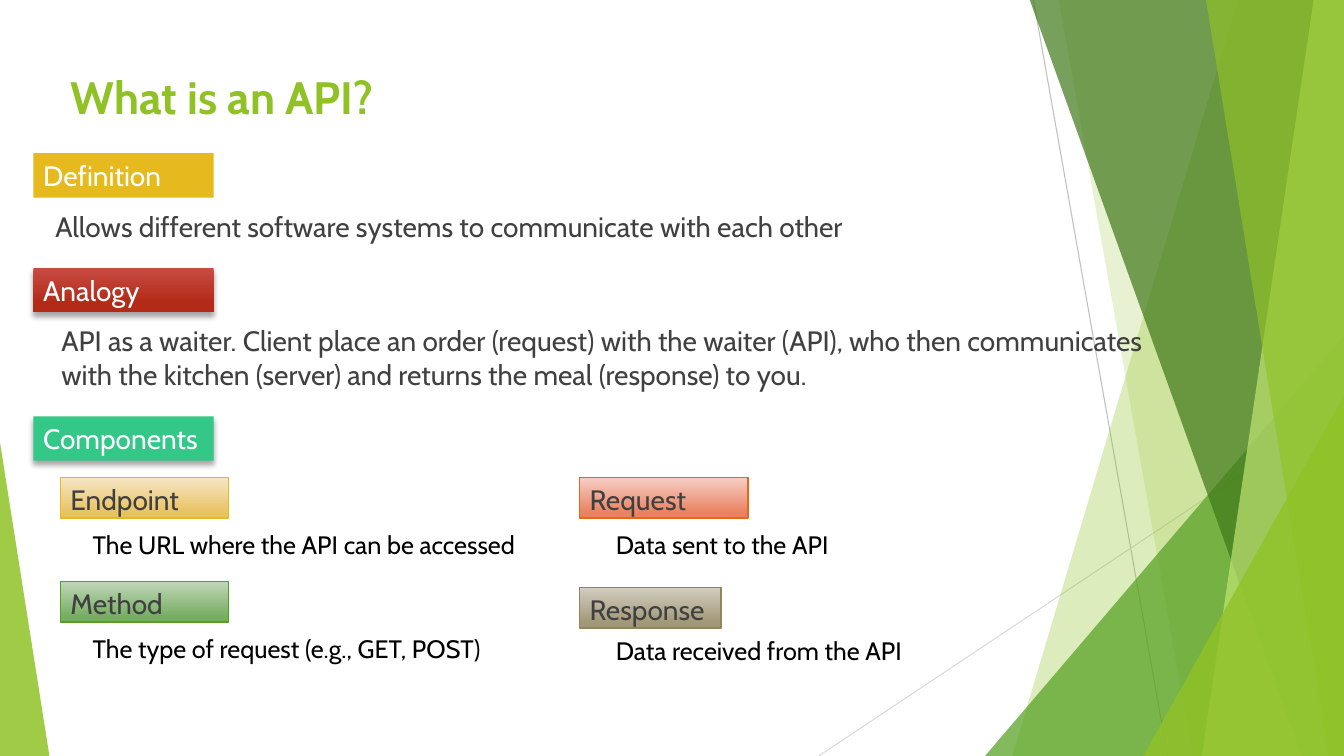
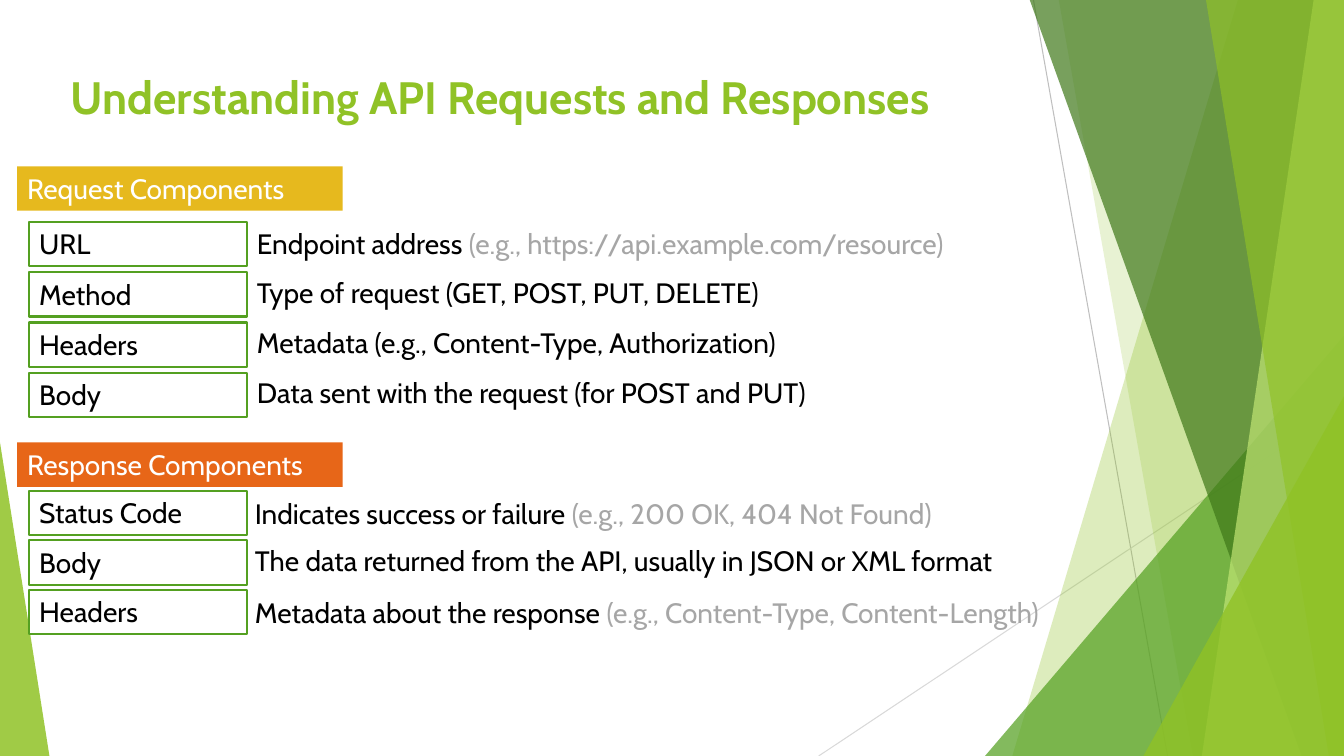
from pptx import Presentation
from pptx.dml.color import RGBColor as RGB
from pptx.enum.shapes import MSO_CONNECTOR as Conn, MSO_SHAPE as Kind
from pptx.enum.text import MSO_ANCHOR as Anchor, MSO_AUTO_SIZE as Auto, PP_ALIGN as Align
from pptx.oxml.ns import qn
from pptx.oxml.xmlchemy import OxmlElement as Elem
from pptx.util import Inches, Pt

FONT = "Cabin"
LIME = RGB(0x90, 0xC2, 0x26)
GREEN = RGB(0x54, 0xA0, 0x21)
DARK = RGB(0x3F, 0x78, 0x19)
PALE = RGB(0xC0, 0xE4, 0x74)
GOLD = RGB(0xE6, 0xB9, 0x1E)
ORANGE = RGB(0xE7, 0x66, 0x18)
MINT = RGB(0x33, 0xC8, 0x88)
OLIVE = RGB(0x91, 0x86, 0x55)
WHITE = RGB(0xFF, 0xFF, 0xFF)
BLACK = RGB(0, 0, 0)
INK = RGB(0x40, 0x40, 0x40)
GRAY = RGB(0xA6, 0xA6, 0xA6)
RULE = RGB(0xBF, 0xBF, 0xBF)
FAINT = RGB(0xD9, 0xD9, 0xD9)

# Gradients: top colour, bottom colour, place of the bottom stop
RED_FADE = (RGB(0xC7, 0x4B, 0x42), RGB(0xB3, 0x2B, 0x18), 0.78)
GOLD_FADE = (RGB(0xF5, 0xE5, 0xC5), RGB(0xE9, 0xC2, 0x60), 0.88)
GREEN_FADE = (RGB(0xC0, 0xD6, 0xB9), RGB(0x76, 0xAD, 0x61), 0.88)
ORANGE_FADE = (RGB(0xF5, 0xCE, 0xC5), RGB(0xEA, 0x81, 0x5F), 0.88)
OLIVE_FADE = (RGB(0xD1, 0xCD, 0xC0), RGB(0xA1, 0x98, 0x77), 0.88)

WIDE, HIGH, TOP = 13.33, 7.5, -0.01
ROW = 0.44


# Shared backdrop
def tint(shape, color, alpha):
    shape.shadow.inherit = False
    shape.line.fill.background()
    shape.fill.solid()
    shape.fill.fore_color.rgb = color
    node = Elem("a:alpha")
    node.set("val", str(alpha * 1000))
    shape.element.spPr.find(".//" + qn("a:srgbClr")).append(node)


def add_rule(group, start, end, color):
    rule = group.shapes.add_connector(Conn.STRAIGHT, *map(Inches, start + end))
    rule.line.color.rgb = color
    rule.line.width = Pt(0.75)
    rule.element.spPr.append(Elem("a:effectLst"))


def add_blade(group, top, foot, color, alpha):
    """Band from a slanted left edge to the right side of the slide."""
    pen = group.shapes.build_freeform(Inches(top), Inches(TOP))
    ends = [(WIDE, TOP), (WIDE, HIGH), (foot, HIGH)]
    pen.add_line_segments([(Inches(x), Inches(y)) for x, y in ends], close=True)
    tint(pen.convert_to_shape(), color, alpha)


def add_wedge(group, left, top, width, peak, color, alpha):
    wedge = group.shapes.add_shape(
        Kind.ISOSCELES_TRIANGLE, *map(Inches, (left, top, width, HIGH - top)))
    wedge.adjustments[0] = peak
    tint(wedge, color, alpha)


def add_backdrop(slide):
    """Draw the facets, then move them to the layout behind its placeholders."""
    group = slide.shapes.add_group_shape()
    add_rule(group, (10.25, 0), (11.58, HIGH), RULE)
    add_rule(group, (WIDE, 4.03), (8.12, HIGH), FAINT)
    add_blade(group, 12.28, 10.04, LIME, 30)
    add_blade(group, 10.5, 11.83, LIME, 20)
    add_wedge(group, 9.77, 3.33, 3.56, 1, GREEN, 72)
    add_blade(group, 10.21, 12.91, DARK, 70)
    add_blade(group, 13.03, 11.92, PALE, 70)
    add_blade(group, 11.96, 13.18, LIME, 65)
    add_wedge(group, 11.34, 3.93, 1.99, 1, LIME, 80)
    add_wedge(group, 0, 4.39, 0.49, 0, LIME, 85)
    for num, node in enumerate(group.element.iter(qn("p:cNvPr")), 100):
        node.set("id", str(num))
    slide.slide_layout.shapes.element.insert(2, group.element)


# Text and boxes
def write(shape, runs, size=20, bold=False):
    frame = shape.text_frame
    frame.word_wrap = True
    frame.auto_size = Auto.NONE
    frame.vertical_anchor = Anchor.TOP
    para = frame.paragraphs[0]
    para.alignment = Align.LEFT
    for text, color in runs:
        run = para.add_run()
        run.text = text
        run.font.name = FONT
        run.font.size = Pt(size)
        run.font.bold = bold
        run.font.color.rgb = color


def set_title(slide, text, width):
    title = slide.shapes.title
    title.left, title.top, title.width, title.height = map(
        Inches, (0.6, 0.64, width, 0.59))
    write(title, [(text, LIME)], 32.4, True)


def add_note(slide, spot, runs, size=20):
    write(slide.shapes.add_textbox(*map(Inches, spot)), runs, size)


def add_box(slide, spot, text, color, fill, edge=None, thick=1):
    box = slide.shapes.add_shape(Kind.RECTANGLE, *map(Inches, spot))
    box.shadow.inherit = False
    if isinstance(fill, RGB):
        box.fill.solid()
        box.fill.fore_color.rgb = fill
    else:
        box.fill.gradient()
        box.fill.gradient_angle = 270
        for stop, tone, place in zip(box.fill.gradient_stops, fill, (0, fill[2])):
            stop.color.rgb = tone
            stop.position = place
    if edge is None:
        box.line.fill.background()
    else:
        box.line.color.rgb = edge
        box.line.width = Pt(thick)
    write(box, [(text, color)])
    return box


def add_shade(box):
    shade = Elem("a:outerShdw")
    for key, val in (("blurRad", Pt(4)), ("dist", Pt(3)), ("dir", 90 * 60000)):
        shade.set(key, str(int(val)))
    tone, alpha = Elem("a:srgbClr"), Elem("a:alpha")
    tone.set("val", "000000")
    alpha.set("val", "35000")
    tone.append(alpha)
    shade.append(tone)
    box.element.spPr.find(qn("a:effectLst")).append(shade)


def add_rows(slide, top, step, left, rows):
    """Outlined labels at an equal step, each with its note."""
    for i, (label, note_top, width, *runs) in enumerate(rows):
        add_note(slide, (left, note_top, width, ROW), runs)
        add_box(slide, (0.29, top + i * step, 2.16, ROW), label,
                BLACK, WHITE, GREEN, 1.5)


# Slides
def fill_intro(slide):
    set_title(slide, "What is an API?", 3.41)
    for top, text, fill, shade in (
            (1.52, "Definition", GOLD, False),
            (2.66, "Analogy", RED_FADE, True),
            (4.13, "Components", MINT, True)):
        head = add_box(slide, (0.33, top, 1.79, ROW), text, WHITE, fill)
        if shade:
            add_shade(head)
    add_note(slide, (0.45, 2.03, 8.64, 0.43), [
        ("Allows different software systems to communicate with each other", INK)])
    add_note(slide, (0.51, 3.16, 11, 0.84), [
        ("API as a waiter. Client place an order (request) with the waiter (API), "
         "who then communicates with the kitchen (server) and returns the meal "
         "(response) to you.", INK)])

    # Component tags: left, top, width, fill, edge; then note left, top, width
    for text, left, top, width, fill, edge, note, x, y, span in (
            ("Endpoint", 0.6, 4.74, 1.67, GOLD_FADE, GOLD,
             "The URL where the API can be accessed", 0.82, 5.2, 4.68),
            ("Method", 0.6, 5.77, 1.67, GREEN_FADE, GREEN,
             "The type of request (e.g., GET, POST)", 0.82, 6.23, 4.48),
            ("Request", 5.75, 4.74, 1.67, ORANGE_FADE, ORANGE,
             "Data sent to the API", 6.01, 5.2, 2.46),
            ("Response", 5.75, 5.83, 1.4, OLIVE_FADE, OLIVE,
             "Data received from the API", 6.01, 6.25, 3.26)):
        add_box(slide, (left, top, width, 0.4), text, INK, fill, edge)
        add_note(slide, (x, y, span, 0.4), [(note, BLACK)], 18)


def fill_parts(slide):
    set_title(slide, "Understanding API Requests and Responses", 9.18)
    for top, text, fill in ((1.65, "Request Components", GOLD),
                            (4.39, "Response Components", ORANGE)):
        add_box(slide, (0.17, top, 3.23, ROW), text, WHITE, fill)
    add_rows(slide, 2.2, 0.5, 2.45, [
        ("URL", 2.2, 7.77, ("Endpoint address ", BLACK),
         ("(e.g., https://api.example.com/resource)", GRAY)),
        ("Method", 2.68, 5.4, ("Type of request (GET, POST, PUT, DELETE)", BLACK)),
        ("Headers", 3.18, 5.87,
         ("Metadata (e.g., Content-Type, Authorization)", BLACK)),
        ("Body", 3.68, 6.02,
         ("Data sent with the request (for POST and PUT)", BLACK)),
    ])
    add_rows(slide, 4.87, 0.49, 2.43, [
        ("Status Code", 4.88, 7.43, ("Indicates success or failure ", BLACK),
         ("(e.g., 200 OK, 404 Not Found)", GRAY)),
        ("Body", 5.34, 8.11,
         ("The data returned from the API, usually in JSON or XML format", BLACK)),
        ("Headers", 5.86, 8.57, ("Metadata about the response ", BLACK),
         ("(e.g., Content-Type, Content-Length)", GRAY)),
    ])


def main():
    deck = Presentation()
    deck.slide_width, deck.slide_height = Inches(WIDE), Inches(HIGH)
    layout = deck.slide_layouts[5]
    intro, parts = [deck.slides.add_slide(layout) for _ in range(2)]
    add_backdrop(intro)
    fill_intro(intro)
    fill_parts(parts)
    deck.save("out.pptx")


if __name__ == "__main__":
    main()
